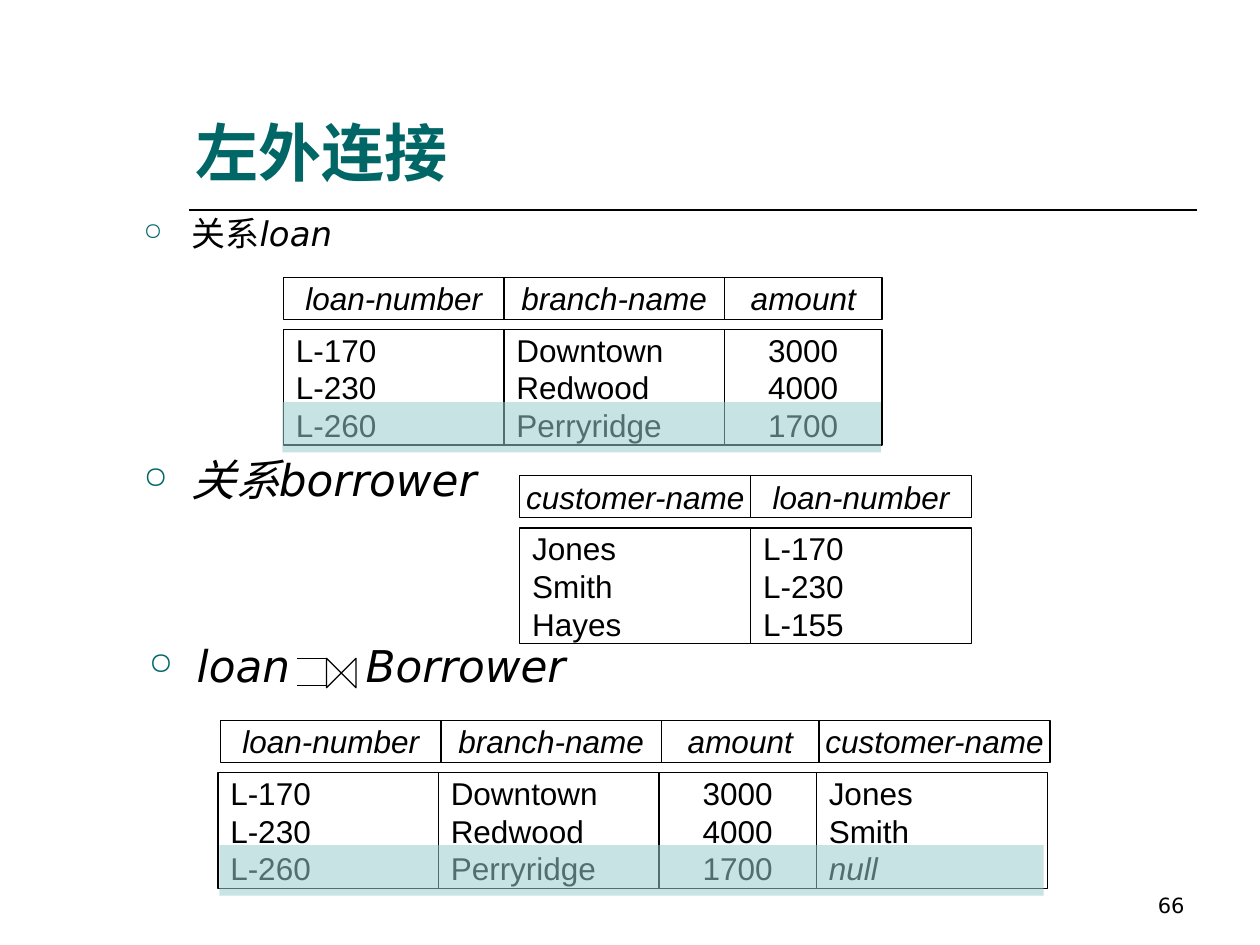
import pptx
import pptx.util
import pptx.dml.color
import pptx.enum.shapes
import pptx.enum.text
import pptx.oxml
import pptx.oxml.ns

COLORS = {"ink": "000000", "paper": "FFFFFF", "teal": "006666", "mint": "99CCCC"}
COLUMNS, ROWS = 120, 90  # grid laid over the whole slide
HEADER_ROWS, BODY_OFFSET, BODY_ROWS = 4, 5, 11
HIGHLIGHT_OFFSET, HIGHLIGHT_ROWS = 11.9, 4.8

ALIGN = pptx.enum.text.PP_ALIGN
ANCHOR = pptx.enum.text.MSO_ANCHOR
SHAPE = pptx.enum.shapes.MSO_SHAPE

# name: (width in columns, alignment of the values)
FIELDS = {
    "loan-number": (21, ALIGN.LEFT),
    "branch-name": (21, ALIGN.LEFT),
    "amount": (15, ALIGN.CENTER),
    "customer-name": (22, ALIGN.LEFT),
}
LOANS = {
    "loan-number": ["L-170", "L-230", "L-260"],
    "branch-name": ["Downtown", "Redwood", "Perryridge"],
    "amount": ["3000", "4000", "1700"],
}
BORROWERS = {
    "customer-name": ["Jones", "Smith", "Hayes"],
    "loan-number": ["L-170", "L-230", "L-155"],
}
JOINED = {**LOANS, "customer-name": ["Jones", "Smith", "null"]}

deck = pptx.Presentation()
deck.slide_width, deck.slide_height = pptx.util.Inches(10), pptx.util.Inches(7.5)


def grid(left, top, width, height):
    """Turn grid columns and rows into slide lengths."""
    across, down = deck.slide_width / COLUMNS, deck.slide_height / ROWS
    return [round(n * step) for n, step in
            ((left, across), (top, down), (width, across), (height, down))]


def rgb(name):
    return pptx.dml.color.RGBColor.from_string(COLORS[name])


def append_xml(parent, tag, **attributes):
    element = pptx.oxml.parse_xml(f"<a:{tag} {pptx.oxml.ns.nsdecls('a')}/>")
    for key, value in attributes.items():
        element.set(key, value)
    parent.append(element)
    return element


def write(para, text, color="ink", **formats):
    span = para.add_run()
    span.text = text
    span.font.color.rgb = rgb(color)
    for key, value in formats.items():
        setattr(span.font, key, value)


def add_title(page, area, text):
    box = page.shapes.title
    box.left, box.top, box.width, box.height = grid(*area)
    box.text_frame.vertical_anchor = ANCHOR.BOTTOM
    para = box.text_frame.paragraphs[0]
    para.alignment = ALIGN.LEFT
    write(para, text, "teal", size=pptx.util.Pt(36), name="Arial", bold=True)


def add_text(page, area, spans, size, **para_formats):
    """Add a one-paragraph text box; spans are (text, italic) pairs."""
    box = page.shapes.add_textbox(*grid(*area))
    box.text_frame.word_wrap = True
    para = box.text_frame.paragraphs[0]
    for key, value in para_formats.items():
        setattr(para, key, value)
    for text, italic in spans:
        write(para, text, size=pptx.util.Pt(size), name="DejaVu Sans", italic=italic)
    return box


def add_bullet(page, area, spans, size, tab=None, **para_formats):
    box = add_text(page, area, spans, size, **para_formats)
    properties = box.text_frame.paragraphs[0]._p.get_or_add_pPr()
    indent = pptx.util.Inches(0.38)
    properties.set("marL", str(indent))
    properties.set("indent", str(-indent))
    append_xml(append_xml(properties, "buClr"), "srgbClr", val=COLORS["teal"])
    append_xml(properties, "buSzPct", val="70000")
    append_xml(properties, "buChar", char="○")
    if tab:
        append_xml(append_xml(properties, "tabLst"), "tab",
                   pos=str(pptx.util.Inches(tab)), algn="l")


def add_block(page, kind, area, fill="paper", outlined=True):
    box = page.shapes.add_shape(kind, *grid(*area))
    box.shadow.inherit = False
    box.fill.solid()
    box.fill.fore_color.rgb = rgb(fill)
    if outlined:
        box.line.color.rgb = rgb("ink")
        box.line.width = pptx.util.Pt(0.75)
    else:
        box.line.fill.background()
    return box


def add_cell(page, area, lines, alignment, header=False):
    frame = add_block(page, SHAPE.RECTANGLE, area).text_frame
    frame.word_wrap = not header
    frame.vertical_anchor = ANCHOR.MIDDLE
    for index, line in enumerate(lines):
        para = frame.add_paragraph() if index else frame.paragraphs[0]
        para.alignment = alignment
        write(para, line, size=pptx.util.Pt(18), name="Arial",
              italic=header or line == "null")


def add_relation(page, left, top, relation, body_shift=0):
    """Draw a header row and, below a gap, one box of values for each field."""
    for name, values in relation.items():
        width, alignment = FIELDS[name]
        add_cell(page, (left, top, width, HEADER_ROWS), [name], ALIGN.CENTER, header=True)
        add_cell(page, (left + body_shift, top + BODY_OFFSET, width, BODY_ROWS),
                 values, alignment)
        left += width


def add_highlight(page, left, relation_top, width):
    """Tint the last row of a relation."""
    box = add_block(page, SHAPE.RECTANGLE,
                    (left, relation_top + HIGHLIGHT_OFFSET, width, HIGHLIGHT_ROWS),
                    "mint", outlined=False)
    color = box.fill._xPr.find(".//" + pptx.oxml.ns.qn("a:srgbClr"))
    append_xml(color, "alpha", val="54000")


def add_line(page, left, top, width, points):
    x, y, length, _ = grid(left, top, width, 0)
    line = page.shapes.add_connector(
        pptx.enum.shapes.MSO_CONNECTOR.STRAIGHT, x, y, x + length, y)
    line.line.color.rgb = rgb("ink")
    line.line.width = pptx.util.Pt(points)
    append_xml(line._element.spPr, "effectLst")


def add_outer_join(page, left, top, side):
    """Draw the left outer join sign: two bars and a bow tie of equal size."""
    bow = add_block(page, SHAPE.FLOWCHART_COLLATE, (left + side, top, side, side))
    bow.rotation = 270
    for bar_top in (top, top + side * 0.93):
        add_line(page, left, bar_top, side, 0.75)


def main():
    page = deck.slides.add_slide(deck.slide_layouts[5])
    add_line(page, 18, 20, 96, 1)
    number = add_text(page, (86, 82, 28, 6), [("66", False)], 12, alignment=ALIGN.RIGHT)
    number.text_frame.vertical_anchor = ANCHOR.BOTTOM
    add_title(page, (17.4, 3.6, 96, 15), "左外连接")

    add_bullet(page, (12.5, 19.7, 86, 5.4), [("关系", False), ("loan", True)], 19.4)
    add_relation(page, 27, 26.4, LOANS)
    add_highlight(page, 26.9, 26.4, 57)

    add_bullet(page, (12.5, 42.5, 92, 6.4), [("关系borrower", True)], 25)
    add_relation(page, 49.5, 45.3, BORROWERS)

    add_bullet(page, (13, 60.8, 90, 6.8), [("loan\tBorrower", True)], 25,
               tab=1.72, line_spacing=0.9)
    add_outer_join(page, 28.3, 62.7, 2.8)
    add_relation(page, 21, 68.6, JOINED, body_shift=-0.25)
    add_highlight(page, 20.9, 68.6, 78.5)

    deck.save("out.pptx")


if __name__ == "__main__":
    main()
